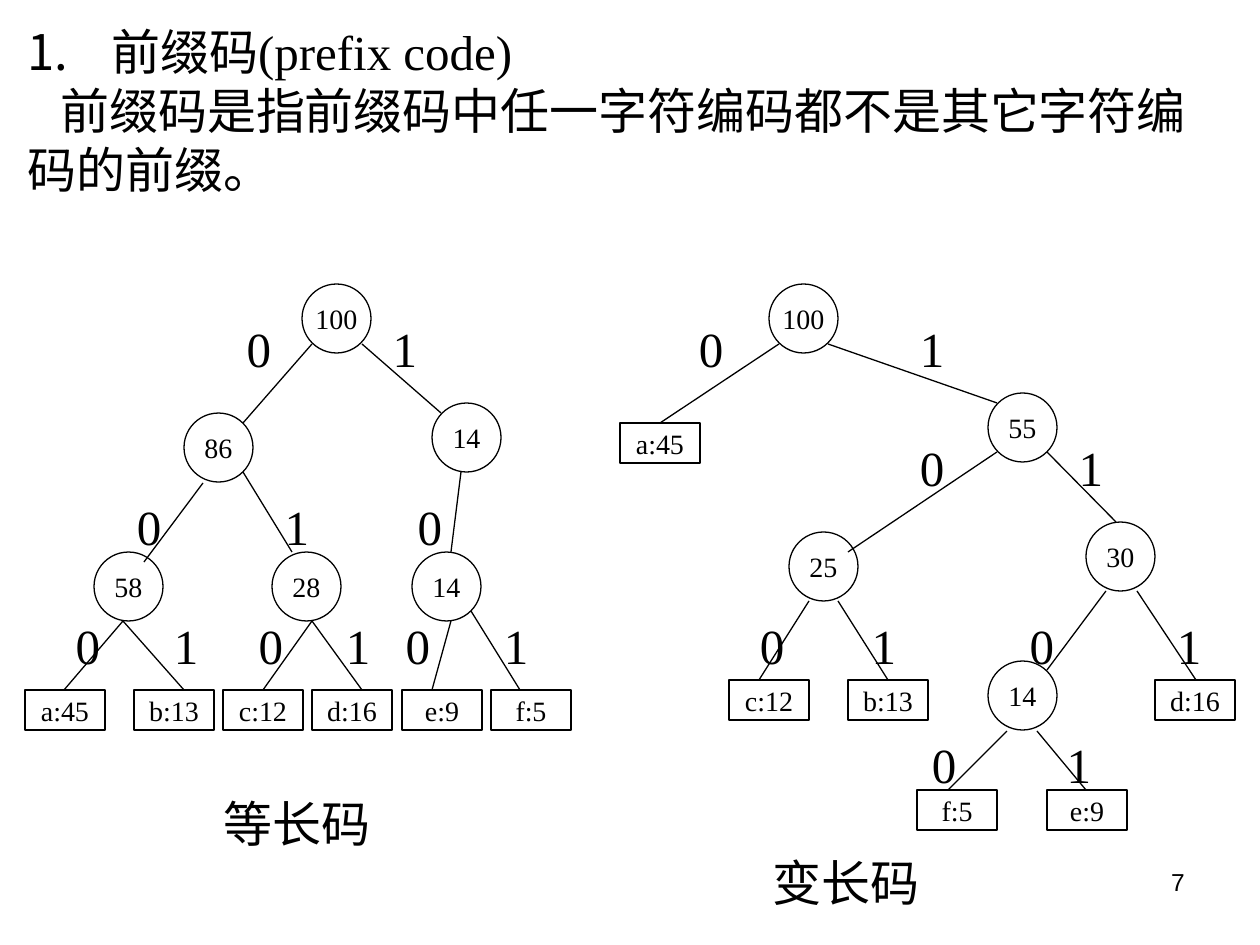
from dataclasses import dataclass
from typing import Any, NamedTuple

from lxml.etree import SubElement
from pptx import Presentation
from pptx.dml.color import RGBColor
from pptx.enum.shapes import MSO_CONNECTOR, MSO_SHAPE
from pptx.enum.text import MSO_ANCHOR, PP_ALIGN
from pptx.oxml.ns import qn
from pptx.util import Emu, Pt

EMU_PER_PX = 914400 / 126


@dataclass(frozen=True)
class Theme:
    """Colours, fonts and point sizes of the slide."""
    ink: RGBColor = RGBColor(0, 0, 0)
    paper: RGBColor = RGBColor(255, 255, 255)
    serif: str = "Times New Roman"
    sans: str = "Arial"
    body: float = 28
    node: float = 16
    number: float = 14
    rule: float = 0.74
    leading: float = 26.8
    gap: float = 7


class Node(NamedTuple):
    """Inner tree node, placed by its top left corner."""
    label: str
    left: int
    top: int


class Leaf(NamedTuple):
    """Symbol with its frequency, placed by its top left corner."""
    label: str
    left: int
    top: int


class Edge(NamedTuple):
    """Branch from a parent to a child."""
    x1: int
    y1: int
    x2: int
    y2: int


class Row(NamedTuple):
    """Words centred at given places on one text line of the slide."""
    line: int
    words: list[tuple[str, int]]


def bits(*centres: int) -> list[tuple[str, int]]:
    """Label branches 0 and 1 in turn."""
    return [(str(i % 2), x) for i, x in enumerate(centres)]


THEME = Theme()
BODY_BOX = (15, 27, 1216, 182)
NUMBER_BOX = (903, 861, 294, 66)
NODE_SIZE = (69, 69)
LEAF_SIZE = (80, 40)
HEADING_INDENT = 84
FIRST_LINE_INDENT = 33
LINE_PITCH = 59.4
WORD_HEIGHT = 59
CHARACTER_WIDTH = 49
SIDE_INSETS = 26

HEADING = "前缀码(prefix code)"
DEFINITION = [("前缀码是指前缀码中任一字符编码都不是其它字符编", FIRST_LINE_INDENT),
              ("码的前缀。", 0)]
ROWS = [
    Row(5, bits(259, 405, 711, 932)),
    Row(7, bits(932, 1091)),
    Row(8, bits(149, 297, 430)),
    Row(10, bits(88, 186, 271, 358, 418, 516, 772, 884, 1042, 1189)),
    Row(12, bits(944, 1079)),
    Row(13, [("等长码", 297)]),
    Row(14, [("变长码", 846)]),
]
NODES = [
    Node("100", 302, 284), Node("86", 184, 413), Node("14", 432, 403),
    Node("58", 94, 552), Node("28", 272, 552), Node("14", 412, 552),
    Node("100", 769, 284), Node("25", 789, 532), Node("55", 988, 393),
    Node("30", 1086, 522), Node("14", 988, 661),
]
LEAVES = [
    Leaf("a:45", 25, 690), Leaf("b:13", 134, 690), Leaf("c:12", 223, 690),
    Leaf("d:16", 312, 690), Leaf("e:9", 402, 690), Leaf("f:5", 491, 690),
    Leaf("a:45", 620, 423), Leaf("c:12", 729, 680), Leaf("b:13", 848, 680),
    Leaf("f:5", 917, 790), Leaf("e:9", 1047, 790), Leaf("d:16", 1155, 680),
]
EDGES = [
    Edge(312, 344, 243, 423), Edge(362, 344, 441, 413),
    Edge(203, 483, 144, 562), Edge(243, 472, 292, 552),
    Edge(461, 472, 451, 552), Edge(123, 621, 64, 690),
    Edge(123, 621, 184, 690), Edge(312, 621, 263, 690),
    Edge(312, 621, 362, 690), Edge(451, 621, 432, 690),
    Edge(471, 611, 520, 690), Edge(779, 344, 660, 423),
    Edge(828, 344, 997, 403), Edge(997, 452, 848, 552),
    Edge(1047, 452, 1116, 522), Edge(809, 601, 759, 680),
    Edge(838, 601, 888, 680), Edge(1106, 591, 1047, 670),
    Edge(1137, 591, 1196, 680), Edge(1007, 731, 948, 790),
    Edge(1037, 731, 1086, 790),
]


def px(length: float) -> Emu:
    """Turn pixels into EMU."""
    return Emu(round(length * EMU_PER_PX))


def apply(target: Any, values: dict[str, Any]) -> None:
    """Set each named attribute on the target."""
    for key, value in values.items():
        setattr(target, key, value)


def write(paragraph: Any, text: str, size: float, font: str = THEME.serif) -> None:
    """Add one run of text in the ink colour."""
    run = paragraph.add_run()
    run.text = text
    apply(run.font, {"size": Pt(size), "name": font})
    run.font.color.rgb = THEME.ink


def write_body(paragraph: Any, text: str, before: float = 0) -> None:
    """Write a paragraph in body size and leading."""
    apply(paragraph, {"line_spacing": Pt(THEME.leading), "space_before": Pt(before)})
    write(paragraph, text, THEME.body)


def indent(paragraph: Any, left: int, first: int = 0) -> Any:
    """Indent a paragraph and return its properties element."""
    properties = paragraph._p.get_or_add_pPr()
    for key, value in {"marL": left, "indent": first}.items():
        properties.set(key, str(px(value)))
    return properties


def add_body(slide: Any) -> None:
    """Write the numbered heading and the definition."""
    frame = slide.shapes.add_textbox(*map(px, BODY_BOX)).text_frame
    frame.word_wrap = True
    heading = frame.paragraphs[0]
    write_body(heading, HEADING)
    properties = indent(heading, HEADING_INDENT, -HEADING_INDENT)
    SubElement(properties, qn("a:buAutoNum"), type="arabicPeriod")
    for text, left in DEFINITION:
        paragraph = frame.add_paragraph()
        write_body(paragraph, text, THEME.gap)
        indent(paragraph, left)


def add_word(slide: Any, text: str, centre: int, line: int) -> None:
    """Write a branch bit or a caption centred on its place."""
    width = len(text) * CHARACTER_WIDTH + SIDE_INSETS
    box = (centre - width / 2, BODY_BOX[1] + line * LINE_PITCH, width, WORD_HEIGHT)
    frame = slide.shapes.add_textbox(*map(px, box)).text_frame
    frame.word_wrap = True
    frame.paragraphs[0].alignment = PP_ALIGN.CENTER
    write_body(frame.paragraphs[0], text)


def add_vertex(slide: Any, vertex: Node | Leaf) -> None:
    """Draw a node as a circle or a leaf as a box."""
    is_node = isinstance(vertex, Node)
    kind = MSO_SHAPE.OVAL if is_node else MSO_SHAPE.RECTANGLE
    size = NODE_SIZE if is_node else LEAF_SIZE
    outline = slide.shapes.add_shape(kind, *map(px, (vertex.left, vertex.top, *size)))
    outline.shadow.inherit = False
    outline.fill.solid()
    outline.fill.fore_color.rgb = THEME.paper
    outline.line.color.rgb = THEME.ink
    outline.line.width = Pt(THEME.rule)
    frame = outline.text_frame
    apply(frame, {"word_wrap": False, "vertical_anchor": MSO_ANCHOR.MIDDLE})
    frame.paragraphs[0].alignment = PP_ALIGN.CENTER
    write(frame.paragraphs[0], vertex.label, THEME.node)


def add_edge(slide: Any, edge: Edge) -> None:
    """Draw a branch as a thin straight line."""
    branch = slide.shapes.add_connector(MSO_CONNECTOR.STRAIGHT, *map(px, edge))
    branch.line.color.rgb = THEME.ink
    branch.line.width = Pt(THEME.rule)
    SubElement(branch._element.spPr, qn("a:effectLst"))


def add_page_number(slide: Any) -> None:
    """Write the page number at the lower right."""
    frame = slide.shapes.add_textbox(*map(px, NUMBER_BOX)).text_frame
    frame.word_wrap = True
    frame.paragraphs[0].alignment = PP_ALIGN.RIGHT
    write(frame.paragraphs[0], "7", THEME.number, THEME.sans)


deck = Presentation()
apply(deck, {"slide_width": px(1260), "slide_height": px(945)})
page = deck.slides.add_slide(deck.slide_layouts[6])
add_body(page)
for row in ROWS:
    for word, centre in row.words:
        add_word(page, word, centre, row.line)
for vertex in NODES + LEAVES:
    add_vertex(page, vertex)
for edge in EDGES:
    add_edge(page, edge)
add_page_number(page)
deck.save("out.pptx")
